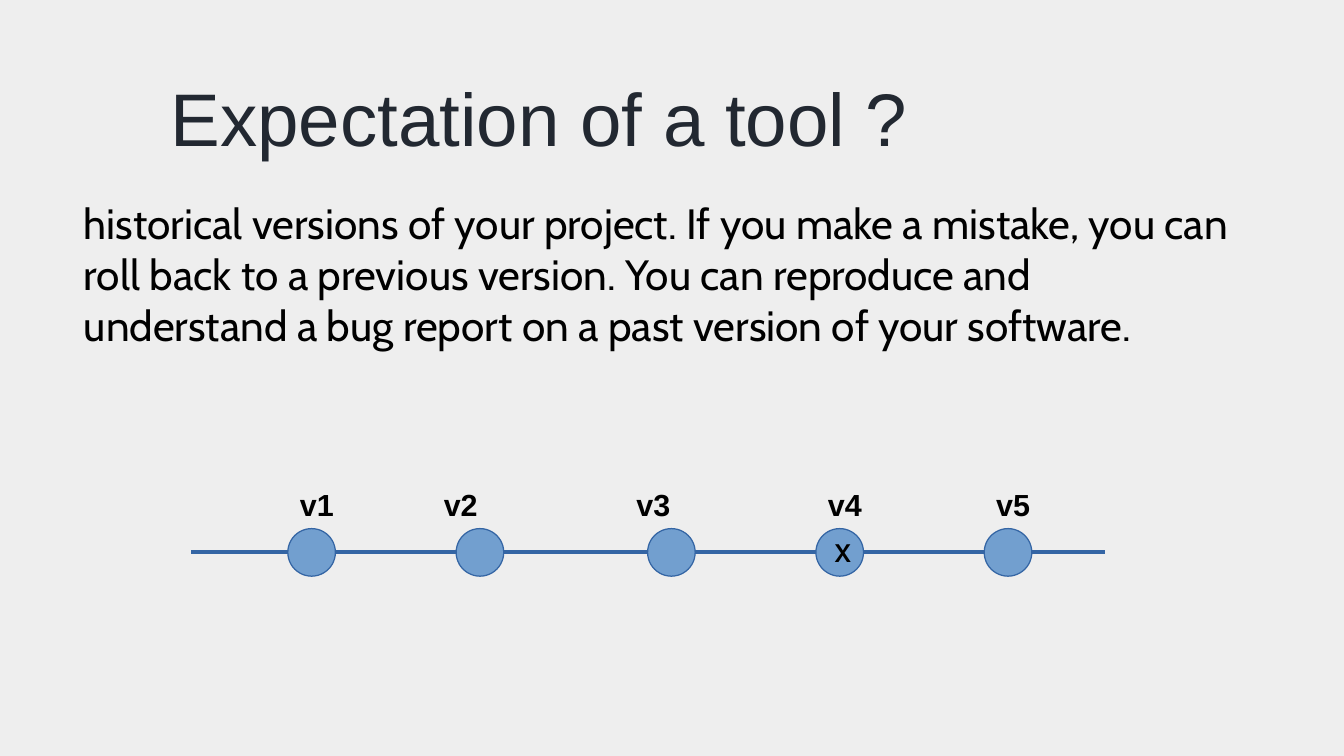
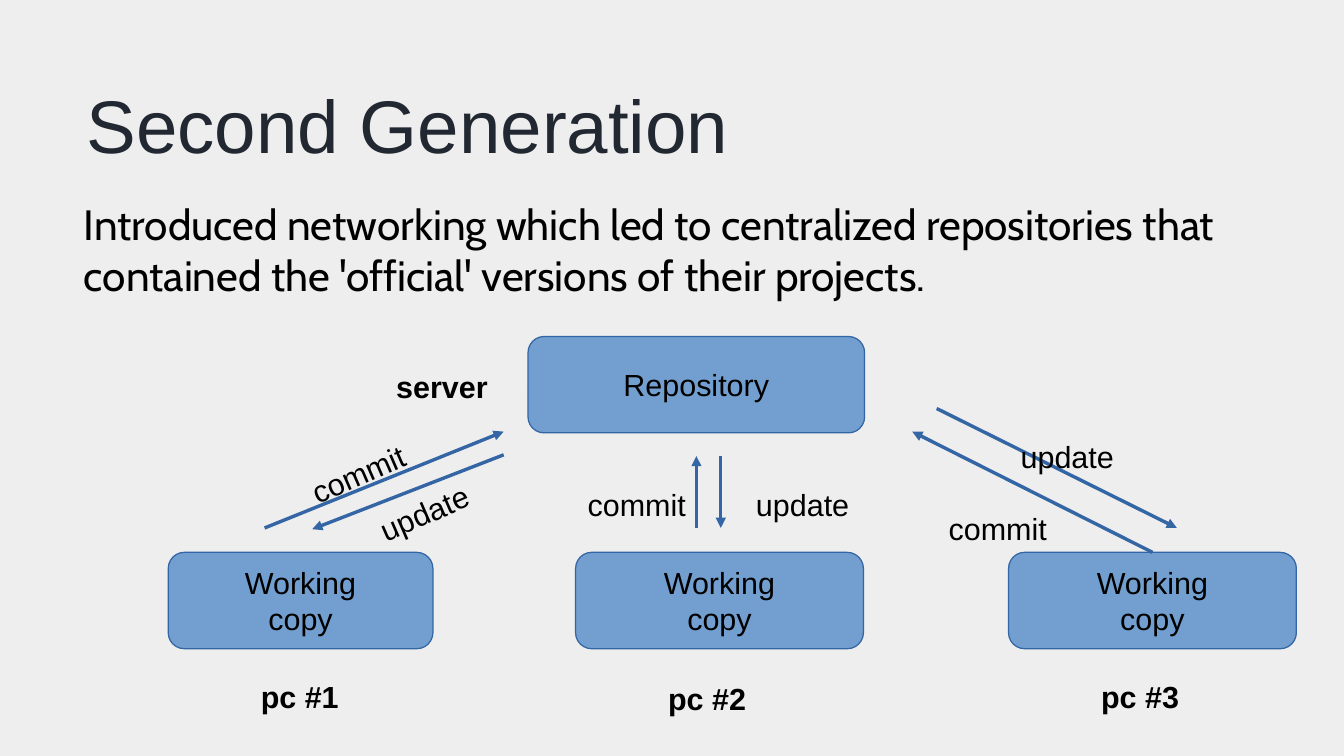
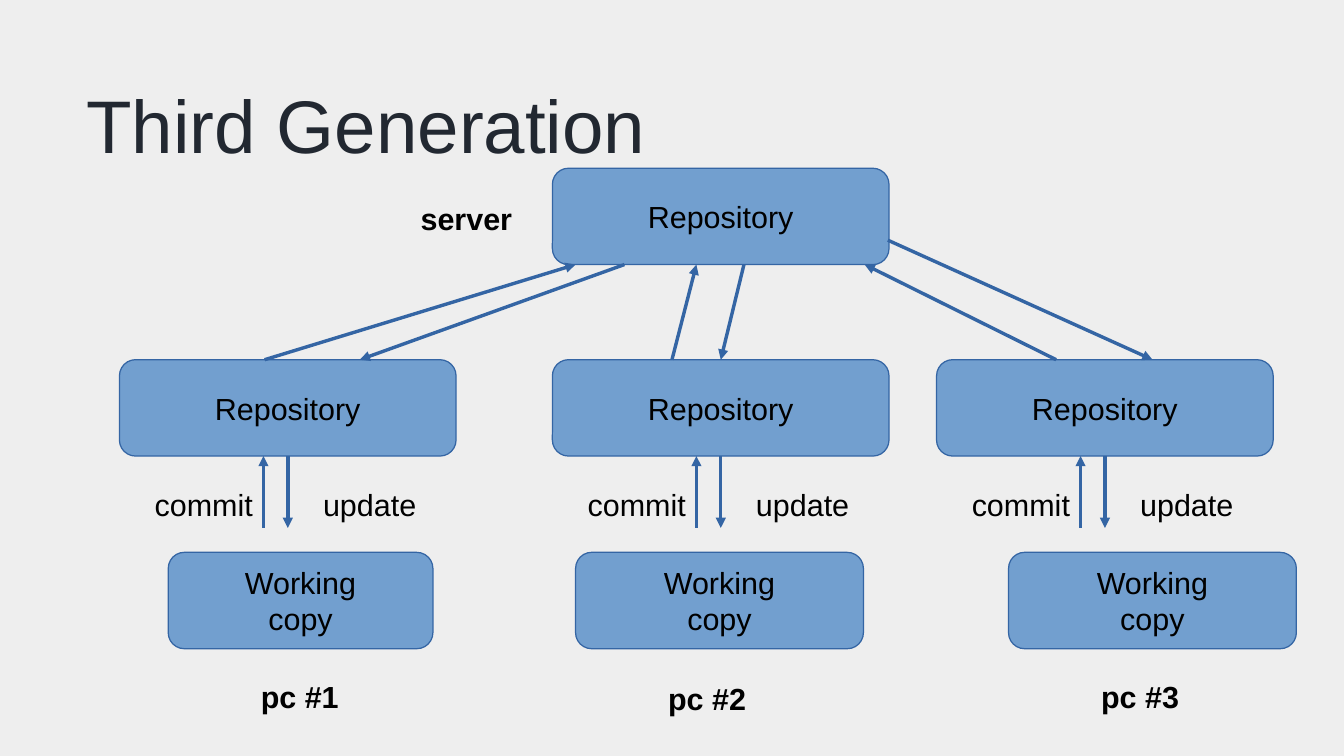
from pptx import Presentation
from pptx.dml.color import RGBColor
from pptx.enum.shapes import MSO_CONNECTOR, MSO_SHAPE
from pptx.enum.text import MSO_ANCHOR, PP_ALIGN
from pptx.oxml.ns import qn
from pptx.util import Inches, Pt
from lxml import etree

STRAIGHT = MSO_CONNECTOR.STRAIGHT
OVAL, ROUND = MSO_SHAPE.OVAL, MSO_SHAPE.ROUNDED_RECTANGLE
TOP, MIDDLE = MSO_ANCHOR.TOP, MSO_ANCHOR.MIDDLE
LEFT, CENTER = PP_ALIGN.LEFT, PP_ALIGN.CENTER
SITE_TOP, SITE_BOTTOM = 0, 2

PAPER = RGBColor(0xEE, 0xEE, 0xEE)
INK = RGBColor(0x22, 0x28, 0x31)
BLACK = RGBColor(0, 0, 0)
FILL = RGBColor(0x72, 0x9F, 0xCF)
EDGE = RGBColor(0x34, 0x65, 0xA4)
SANS, BODY = "Arial", "Cabin"

HISTORY = ("historical versions of your project. If you make a mistake, "
           "you can roll back to a previous version. You can reproduce and "
           "understand a bug report on a past version of your software.")
CENTRAL = ("Introduced networking which led to centralized repositories that "
           "contained the 'official' versions of their projects.")

# name, label left, dot left, mark
VERSIONS = [("v1", 2.36, 2.36, ""), ("v2", 3.54, 3.74, ""),
            ("v3", 5.12, 5.31, ""), ("v4", 6.69, 6.69, "X"),
            ("v5", 8.07, 8.07, "")]
DOT, AXIS = 0.39, 4.53

# box left, box width, label, label left, label top
COPIES = [(1.38, 2.17, "pc #1", 2.04, 5.51),
          (4.72, 2.36, "pc #2", 5.38, 5.53),
          (8.27, 2.36, "pc #3", 8.93, 5.51)]
REPO_W, BOX_H, COPY_Y = 2.76, 0.79, 4.53
REPO_Y, LOCALS = 2.95, (0.98, 4.53, 7.68)

# text, left, top, rotation
SLANTED = [("commit", 2.48, 3.64, -23.5), ("update", 3.04, 3.95, -23.5)]
FLAT = [("commit", 7.68, 4.13), ("update", 8.27, 3.54)]

CENTRAL_ARROWS = [((2.17, 4.33), (4.13, 3.54)), ((4.13, 3.73), (2.56, 4.34)),
                  ((7.68, 3.35), (9.65, 4.33))]
SPREAD_ARROWS = [((2.17, 2.95), (4.72, 2.17)), ((5.12, 2.17), (2.95, 2.95)),
                 ((5.51, 2.95), (5.71, 2.17)), ((8.66, 2.95), (7.09, 2.17)),
                 ((7.28, 1.97), (9.45, 2.95))]


def write(shape, text, size, font=SANS, color=BLACK, bold=False,
          align=LEFT, anchor=TOP):
    frame = shape.text_frame
    frame.word_wrap = True
    frame.vertical_anchor = anchor
    frame.text = text
    for para in frame.paragraphs:
        para.alignment = align
        para.font.size = Pt(size)
        para.font.name = font
        para.font.bold = bold
        para.font.color.rgb = color
    return frame


def add_text(slide, text, x, y, w, h, size=18, **style):
    box = slide.shapes.add_textbox(Inches(x), Inches(y), Inches(w), Inches(h))
    write(box, text, size, **style)
    return box


def add_title(slide, text, x=0.71, y=0.26, align=LEFT):
    box = add_text(slide, text, x, y, 8.7, 1.51, 44, color=INK,
                   align=align, anchor=MIDDLE)
    frame = box.text_frame
    frame.margin_left = frame.margin_right = 0
    frame.margin_top = frame.margin_bottom = 0


def add_node(slide, kind, x, y, w, h, text="", size=18, **style):
    node = slide.shapes.add_shape(kind, Inches(x), Inches(y),
                                  Inches(w), Inches(h))
    node.shadow.inherit = False
    node.fill.solid()
    node.fill.fore_color.rgb = FILL
    node.line.color.rgb = EDGE
    node.line.width = Pt(0)
    if text:
        write(node, text, size, align=CENTER, anchor=MIDDLE, **style)
    return node


def add_repo(slide, x, y):
    return add_node(slide, ROUND, x, y, REPO_W, BOX_H, "Repository")


def add_line(slide, start, end, width=0.0):
    line = slide.shapes.add_connector(
        STRAIGHT, *(Inches(v) for v in (*start, *end)))
    line.line.color.rgb = EDGE
    line.line.width = Pt(width)
    etree.SubElement(line._element.spPr, qn("a:effectLst"))
    return line


def add_arrow(slide, start, end):
    arrow = add_line(slide, start, end)
    etree.SubElement(arrow.line._get_or_add_ln(), qn("a:tailEnd"),
                     type="triangle")
    return arrow


def add_swap(slide, mid):
    """Draw the labelled commit and update pair; return the update arrow."""
    add_arrow(slide, (mid - 0.2, 4.33), (mid - 0.2, 3.74))
    update = add_arrow(slide, (mid, 3.74), (mid, 4.33))
    add_text(slide, "commit", mid - 1.19, 3.94, 1.1, 0.38)
    add_text(slide, "update", mid + 0.19, 3.94, 1.38, 0.38)
    return update


def add_copies(slide):
    boxes = []
    for x, w, name, left, top in COPIES:
        boxes.append(add_node(slide, ROUND, x, COPY_Y, w, BOX_H,
                              "Working\ncopy"))
        add_text(slide, name, left, top, 1.18, 0.38, bold=True)
    return boxes


def add_server(slide, x, y):
    add_repo(slide, x, y)
    add_text(slide, "server", x - 1.18, y + 0.21, 1.18, 0.38, bold=True)


def draw_history(slide):
    add_title(slide, "Expectation of a tool ? ", 0.16, 0.2, CENTER)
    add_text(slide, HISTORY, 0.59, 1.57, 9.65, 1.99, 25, font=BODY)
    add_line(slide, (1.57, AXIS), (9.06, AXIS), 2.3)
    for name, left, x, mark in VERSIONS:
        add_node(slide, OVAL, x, AXIS - DOT / 2, DOT, DOT, mark, 15,
                 font=BODY, bold=True)
        add_text(slide, name, left, 3.94, 0.59, 0.66, bold=True)


def draw_central(slide):
    add_title(slide, "Second Generation")
    add_text(slide, CENTRAL, 0.59, 1.58, 9.65, 1.51, 25, font=BODY)
    add_server(slide, 4.33, 2.76)
    copies = add_copies(slide)
    for text, x, y, turn in SLANTED:
        add_text(slide, text, x, y, 1.18, 0.66).rotation = turn
    for start, end in CENTRAL_ARROWS:
        add_arrow(slide, start, end)
    add_swap(slide, 5.91)
    commit = add_arrow(slide, (9.45, COPY_Y), (7.48, 3.54))
    commit.begin_connect(copies[-1], SITE_TOP)
    for text, x, y in FLAT:
        add_text(slide, text, x, y, 1.38, 0.38)


def draw_spread(slide):
    add_title(slide, "Third Generation")
    add_server(slide, 4.53, 1.38)
    add_copies(slide)
    repos = []
    for x in LOCALS:
        repo = add_repo(slide, x, REPO_Y)
        add_swap(slide, x + REPO_W / 2).begin_connect(repo, SITE_BOTTOM)
        repos.append(repo)
    for start, end in SPREAD_ARROWS:
        add_arrow(slide, start, end)
    update = add_arrow(slide, (6.1, 2.17), (5.91, REPO_Y))
    update.end_connect(repos[1], SITE_TOP)


def main():
    deck = Presentation()
    deck.slide_width, deck.slide_height = Inches(11.02), Inches(6.2)
    back = deck.slide_master.background.fill
    back.solid()
    back.fore_color.rgb = PAPER
    for draw in (draw_history, draw_central, draw_spread):
        draw(deck.slides.add_slide(deck.slide_layouts[6]))
    deck.save("out.pptx")


if __name__ == "__main__":
    main()
